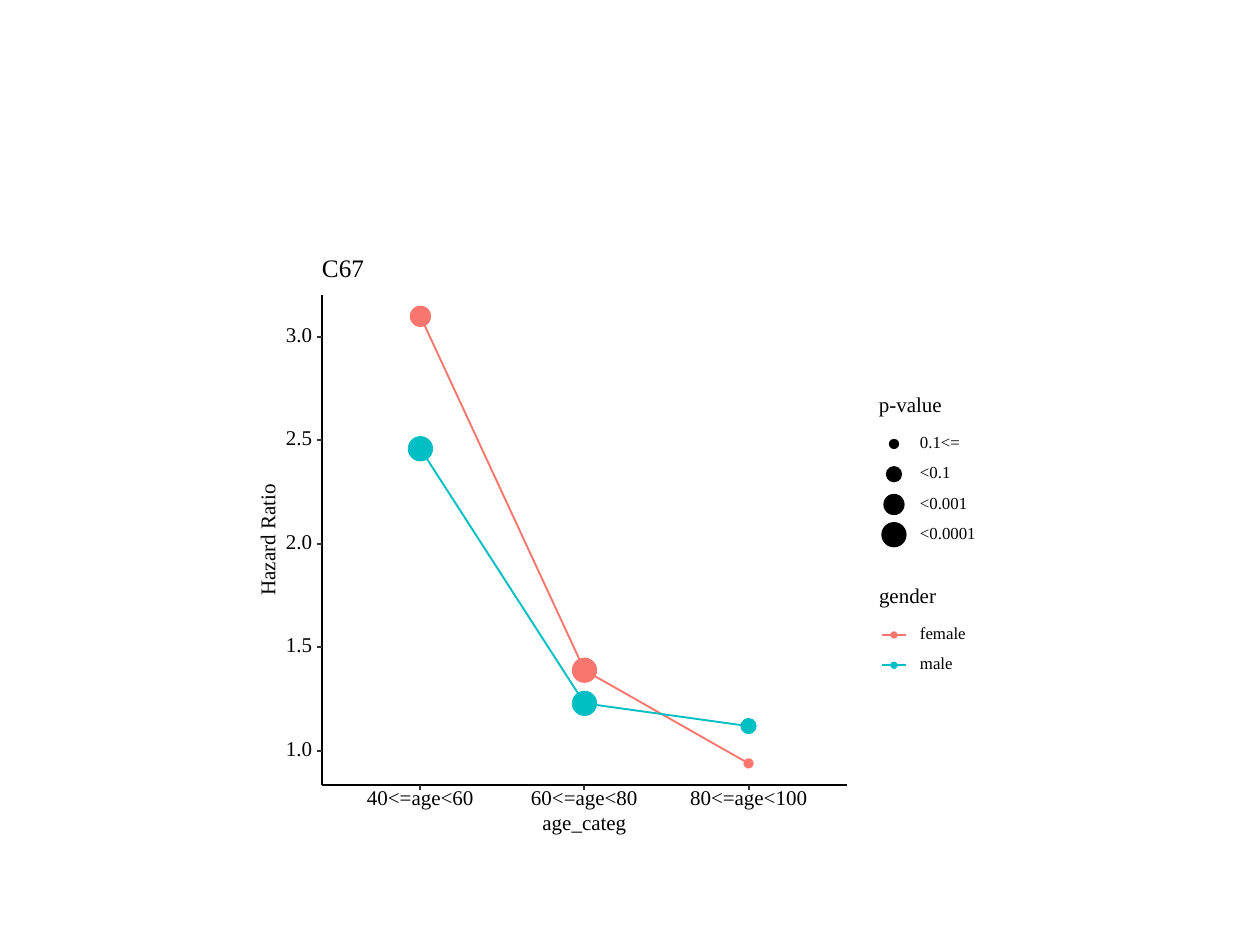
from dataclasses import dataclass

from lxml import etree
from pptx import Presentation
from pptx.dml.color import RGBColor
from pptx.enum.shapes import MSO_CONNECTOR, MSO_SHAPE
from pptx.enum.text import MSO_ANCHOR
from pptx.oxml.ns import qn
from pptx.util import Emu, Pt

RECTANGLE = MSO_SHAPE.RECTANGLE
OVAL = MSO_SHAPE.OVAL
STRAIGHT = MSO_CONNECTOR.STRAIGHT
MIDDLE = MSO_ANCHOR.MIDDLE


@dataclass(frozen=True)
class Theme:
    font: str = "Times New Roman"
    ink: RGBColor = RGBColor(0, 0, 0)
    paper: RGBColor = RGBColor(255, 255, 255)
    tick: RGBColor = RGBColor(0x33, 0x33, 0x33)
    female: RGBColor = RGBColor(0xF8, 0x76, 0x6D)
    male: RGBColor = RGBColor(0x00, 0xBF, 0xC4)
    title: float = 14.4
    body: float = 12
    small: float = 9.6
    line: float = 1.07
    tick_line: float = 1.16
    outline: float = 0.71


THEME = Theme()
PX_PER_INCH = 126
PX_PER_RATIO = 207  # height of one unit of hazard ratio
RATIO_ONE = 34      # height of ratio 1.0 above the age axis
X_RANGE = (0.4, 3.6)
Y_TICKS = (1.0, 1.5, 2.0, 2.5, 3.0)
AGE_GROUPS = (("40<=age<60", 107), ("60<=age<80", 107), ("80<=age<100", 117))
# Series: colour, hazard ratios, dot diameters
SERIES = (
    (THEME.female, (3.1, 1.39, 0.94), (20, 24, 9)),
    (THEME.male, (2.46, 1.23, 1.12), (24, 24, 15)),
)
# Legend rows: label, label width, dot diameter, colour
P_VALUES = (("0.1<=", 40, 9, THEME.ink), ("<0.1", 30, 15, THEME.ink),
            ("<0.001", 48, 20, THEME.ink), ("<0.0001", 55, 24, THEME.ink))
GENDERS = (("female", 45, 6, THEME.female), ("male", 33, 6, THEME.male))


def px(length):
    return Emu(round(length * 914400 / PX_PER_INCH))


def add_text(page, text, box, size, rotation=0):
    label = page.shapes.add_textbox(*map(px, box))
    label.rotation = rotation
    frame = label.text_frame
    frame.margin_left = frame.margin_top = frame.margin_right = frame.margin_bottom = 0
    frame.word_wrap = False
    frame.vertical_anchor = MIDDLE
    frame.text = text
    para = frame.paragraphs[0]
    para.line_spacing = Pt(size)
    para.font.size = Pt(size)
    para.font.name = THEME.font
    para.font.color.rgb = THEME.ink


def add_line(page, start, end, color, width):
    line = page.shapes.add_connector(STRAIGHT, *map(px, start + end))
    line.line.color.rgb = color
    line.line.width = Pt(width)
    etree.SubElement(line._element.spPr, qn("a:effectLst"))


def add_shape(page, kind, box, color, outline):
    shape = page.shapes.add_shape(kind, *map(px, box))
    shape.shadow.inherit = False
    shape.fill.solid()
    shape.fill.fore_color.rgb = color
    shape.line.color.rgb = color
    shape.line.width = Pt(outline)


def add_dot(page, center, diameter, color):
    x, y = center
    corner = (x - diameter / 2, y - diameter / 2)
    add_shape(page, OVAL, (*corner, diameter, diameter), color, THEME.outline)


def add_polyline(page, points, color):
    first, *others = [tuple(map(px, point)) for point in points]
    builder = page.shapes.build_freeform(*first)
    builder.add_line_segments(others, close=False)
    curve = builder.convert_to_shape()
    curve.shadow.inherit = False
    curve.fill.background()
    curve.line.color.rgb = color
    curve.line.width = Pt(THEME.line)


def add_hazard_plot(page, box):
    left, top, width, height = box
    bottom = top + height

    def x_at(position):
        return left + (position - X_RANGE[0]) / (X_RANGE[1] - X_RANGE[0]) * width

    def y_at(ratio):
        return bottom - RATIO_ONE - (ratio - 1) * PX_PER_RATIO

    add_shape(page, RECTANGLE, box, THEME.paper, THEME.outline)

    # Lines first, so that every dot lies above them
    curves = []
    for color, ratios, diameters in SERIES:
        points = [(x_at(i), y_at(ratio)) for i, ratio in enumerate(ratios, 1)]
        add_polyline(page, points, color)
        curves.append((color, points, diameters))
    for color, points, diameters in reversed(curves):
        for point, diameter in zip(points, diameters):
            add_dot(page, point, diameter, color)

    # Value axis
    add_line(page, (left, bottom), (left, top), THEME.ink, THEME.line)
    for value in Y_TICKS:
        y = y_at(value)
        add_text(page, f"{value:.1f}", (left - 36, y - 8, 29, 14), THEME.body)
        add_line(page, (left - 5, y), (left, y), THEME.tick, THEME.tick_line)

    # Age axis
    add_line(page, (left, bottom), (left + width, bottom), THEME.ink, THEME.line)
    for position, (label, label_width) in enumerate(AGE_GROUPS, 1):
        x = x_at(position)
        add_line(page, (x, bottom + 5), (x, bottom), THEME.tick, THEME.tick_line)
        label_box = (x - label_width / 2, bottom + 5, label_width + 3, 19)
        add_text(page, label, label_box, THEME.body)

    # Titles
    add_text(page, "age_categ", (left + width / 2 - 42, bottom + 30, 87, 18), THEME.body)
    add_text(page, "Hazard Ratio", (left - 110, top + 236, 114, 15), THEME.body, 270)
    add_text(page, "C67", (left, top - 34, 45, 18), THEME.title)


def add_legend(page, box, title, rows, with_line=False):
    left, top, width, _ = box
    add_shape(page, RECTANGLE, box, THEME.paper, THEME.outline)
    add_text(page, title, (left + 10, top + 7, width - 40, 19), THEME.body)
    center = left + 25
    for index, (label, label_width, diameter, color) in enumerate(rows):
        y = top + 54 + 30.25 * index
        if with_line:
            add_line(page, (center - 12, y), (center + 12, y), color, THEME.line)
        add_dot(page, (center, y), diameter, color)
        add_text(page, label, (left + 51, y - 6, label_width + 3, 11), THEME.small)


def main():
    deck = Presentation()
    deck.slide_width, deck.slide_height = px(1260), px(945)
    page = deck.slides.add_slide(deck.slide_layouts[6])
    add_shape(page, RECTANGLE, (252, 252, 745, 595), THEME.paper, THEME.tick_line)
    add_hazard_plot(page, (322, 295, 525, 490))
    add_legend(page, (869, 390, 117, 171), "p-value", P_VALUES)
    add_legend(page, (869, 581, 107, 111), "gender", GENDERS, with_line=True)
    deck.save("out.pptx")


if __name__ == "__main__":
    main()
